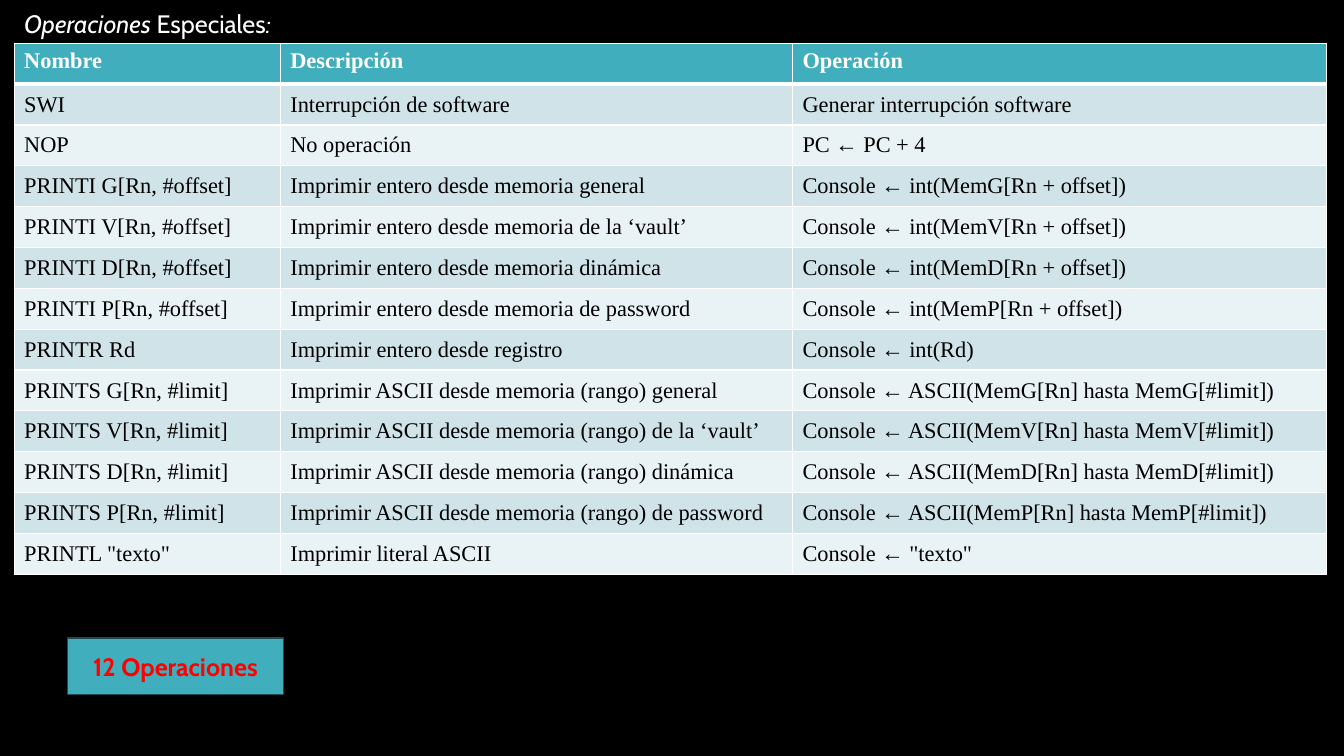
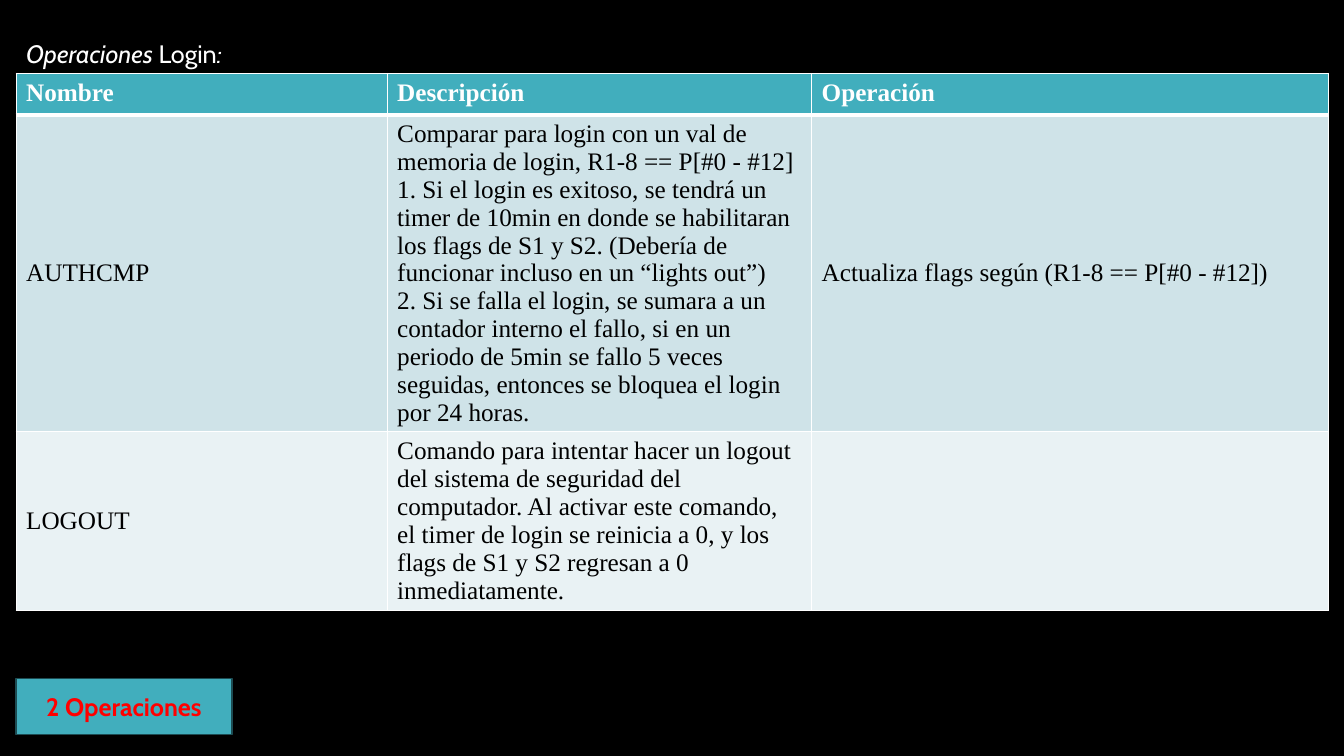
import pptx
import pptx.util
import pptx.dml.color
import pptx.enum.shapes
import pptx.enum.text
import pptx.oxml

Inches = pptx.util.Inches
Pt = pptx.util.Pt
Anchor = pptx.enum.text.MSO_ANCHOR
Align = pptx.enum.text.PP_ALIGN
NS = 'xmlns:a="http://schemas.openxmlformats.org/drawingml/2006/main"'

COLORS = {
    "back": "000000",
    "teal": "41AEBD",
    "edge": "1C4C53",
    "odd": "CFE3E8",
    "even": "E9F2F4",
    "white": "FFFFFF",
    "black": "000000",
    "red": "FF0000",
}
HEADS = ("Nombre", "Descripción", "Operación")
SERIF = "Times New Roman"
SANS = "Cabin"

BANKS = [
    ("G", "general"),
    ("V", "de la ‘vault’"),
    ("D", "dinámica"),
    ("P", "de password"),
]
SPECIAL = [
    ("SWI", "Interrupción de software", "Generar interrupción software"),
    ("NOP", "No operación", "PC ← PC + 4"),
    *((f"PRINTI {key}[Rn, #offset]",
       f"Imprimir entero desde memoria {name}",
       f"Console ← int(Mem{key}[Rn + offset])") for key, name in BANKS),
    ("PRINTR Rd", "Imprimir entero desde registro", "Console ← int(Rd)"),
    *((f"PRINTS {key}[Rn, #limit]",
       f"Imprimir ASCII desde memoria (rango) {name}",
       f"Console ← ASCII(Mem{key}[Rn] hasta Mem{key}[#limit])")
      for key, name in BANKS),
    ('PRINTL "texto"', "Imprimir literal ASCII", 'Console ← "texto"'),
]
LOGIN = [
    ("AUTHCMP",
     "Comparar para login con un val de memoria de login, "
     "R1-8 == P[#0 - #12]\n"
     "1. Si el login es exitoso, se tendrá un timer de 10min en donde se "
     "habilitaran los flags de S1 y S2. (Debería de funcionar incluso en un "
     "“lights out”)\n"
     "2. Si se falla el login, se sumara a un contador interno el fallo, si "
     "en un periodo de 5min se fallo 5 veces seguidas, entonces se bloquea "
     "el login por 24 horas.",
     "Actualiza flags según (R1-8 == P[#0 - #12])"),
    ("LOGOUT",
     "Comando para intentar hacer un logout del sistema de seguridad del "
     "computador. Al activar este comando, el timer de login se reinicia a "
     "0, y los flags de S1 y S2 regresan a 0 inmediatamente.",
     ""),
]


def tint(name):
    return pptx.dml.color.RGBColor.from_string(COLORS[name])


def paint(item, name):
    item.fill.solid()
    item.fill.fore_color.rgb = tint(name)


def write(para, text, size=18, font=SANS, color="white", bold=False,
          slant=False, align=Align.LEFT):
    para.alignment = align
    run = para.add_run()
    run.text = text
    run.font.size = Pt(size)
    run.font.name = font
    run.font.bold = bold
    run.font.italic = slant
    run.font.color.rgb = tint(color)


def border(cell, top=1, bottom=1):
    props = cell._tc.get_or_add_tcPr()
    sides = {"L": 1, "R": 1, "T": top, "B": bottom}
    for spot, (side, width) in enumerate(sides.items()):
        props.insert(spot, pptx.oxml.parse_xml(
            f'<a:ln{side} {NS} w="{Pt(width)}"><a:solidFill>'
            f'<a:srgbClr val="{COLORS["white"]}"/></a:solidFill></a:ln{side}>'))


def add_title(slide, box, topic):
    title = slide.shapes.title
    title.left, title.top, title.width, title.height = map(Inches, box)
    frame = title.text_frame
    frame.word_wrap = True
    frame.auto_size = pptx.enum.text.MSO_AUTO_SIZE.NONE
    frame.vertical_anchor = Anchor.TOP
    para = frame.paragraphs[0]
    write(para, "Operaciones", slant=True)
    write(para, f" {topic}")
    write(para, ":", slant=True)


def add_grid(slide, left, top, cols, tall, rows, size):
    data = [HEADS, *rows]
    grid = slide.shapes.add_table(
        len(data), len(cols), Inches(left), Inches(top),
        Inches(sum(cols)), Inches(sum(tall))).table
    grid.horz_banding = False
    for col, width in zip(grid.columns, cols):
        col.width = Inches(width)
    for line, (row, texts) in enumerate(zip(grid.rows, data)):
        row.height = Inches(tall[line])
        head = line == 0
        fill = "teal" if head else "odd" if line % 2 else "even"
        for cell, text in zip(row.cells, texts):
            paint(cell, fill)
            border(cell, top=3 if line == 1 else 1, bottom=3 if head else 1)
            cell.vertical_anchor = Anchor.TOP if head else Anchor.MIDDLE
            frame = cell.text_frame
            for spot, part in enumerate(text.split("\n")):
                para = frame.add_paragraph() if spot else frame.paragraphs[0]
                write(para, part, size=size, font=SERIF, bold=head,
                      color="white" if head else "black")


def add_badge(slide, left, top, text):
    badge = slide.shapes.add_shape(
        pptx.enum.shapes.MSO_SHAPE.RECTANGLE, Inches(left), Inches(top),
        Inches(2.14), Inches(0.56))
    badge.shadow.inherit = False
    paint(badge, "teal")
    badge.line.color.rgb = tint("edge")
    badge.line.width = Pt(1)
    badge.text_frame.vertical_anchor = Anchor.MIDDLE
    write(badge.text_frame.paragraphs[0], text, color="red", bold=True,
          align=Align.CENTER)


def add_page(deck, topic, left, top, wide, cols, tall, rows, size, badge):
    slide = deck.slides.add_slide(deck.slide_layouts[5])
    add_grid(slide, left, top, cols, tall, rows, size)
    add_title(slide, (left, top - 0.4, wide, 0.4), topic)
    add_badge(slide, *badge, f"{len(rows)} Operaciones")


def main():
    deck = pptx.Presentation()
    deck.slide_width = Inches(13.33)
    deck.slide_height = Inches(7.5)
    paint(deck.slide_master.background, "back")
    add_page(deck, "Especiales", 0.14, 0.43, 4.59, (2.64, 5.08, 5.3),
             [5.27 / 13] * 13, SPECIAL, 16, (0.67, 6.33))
    add_page(deck, "Login", 0.16, 0.73, 2.23, (3.68, 4.21, 5.13),
             [0.41, 3.14, 1.77], LOGIN, 18, (0.16, 6.73))
    deck.save("out.pptx")


if __name__ == "__main__":
    main()
